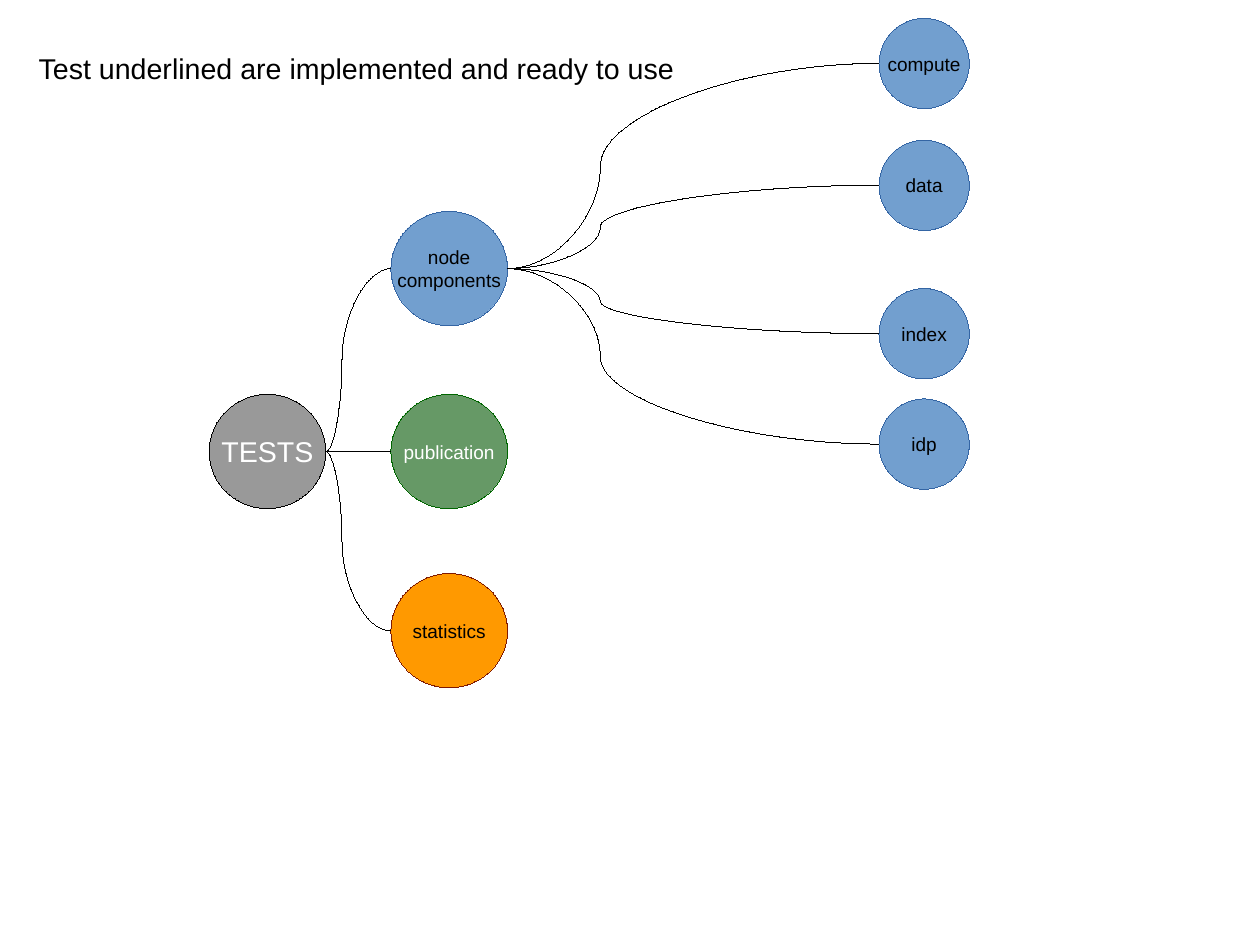
from pptx import Presentation
from pptx.dml.color import RGBColor
from pptx.enum.shapes import MSO_CONNECTOR, MSO_SHAPE
from pptx.enum.text import MSO_ANCHOR, MSO_AUTO_SIZE, PP_ALIGN
from pptx.oxml.ns import qn
from pptx.util import Cm, Inches, Pt
from lxml import etree

ELLIPSE = MSO_SHAPE.OVAL
CURVE, STRAIGHT = MSO_CONNECTOR.CURVE, MSO_CONNECTOR.STRAIGHT
MIDDLE, CENTER = MSO_ANCHOR.MIDDLE, PP_ALIGN.CENTER
FIT_SHAPE = MSO_AUTO_SIZE.SHAPE_TO_FIT_TEXT

SLIDE_WIDTH, SLIDE_HEIGHT = Cm(28), Cm(21)
FONT = "Arial"
BLACK, WHITE = "000000", "FFFFFF"
BLUE, DARK_BLUE = "729FCF", "3465A4"
BEND = 25000  # the curve turns a quarter of the way along

# Column boxes in inches: left, top, width, height
TITLE_BOX = (0.24, 0.4, 5.76, 0.38)
ROOT_BOX = (1.83, 3.45, 1.02, 1)
AREA_COLUMN = (3.42, 1.85, 1.02, 4.2)
COMPONENT_COLUMN = (7.69, 0.16, 0.79, 4.12)

# Label, share of the way down the column, fill, outline, text colour
AREAS = [
    ("node\ncomponents", 0, BLUE, DARK_BLUE, BLACK),
    ("publication", 0.5, "669966", "006600", WHITE),
    ("statistics", 0.99, "FF9900", "801900", BLACK),
]
COMPONENTS = [
    (label, share, BLUE, DARK_BLUE, BLACK)
    for label, share in [("compute", 0), ("data", 0.32), ("index", 0.71), ("idp", 1)]
]


def color(value):
    return RGBColor.from_string(value)


def set_hairline(shape, line_color):
    shape.line.color.rgb = color(line_color)
    # A zero width must be written out, or the theme's width applies
    shape.element.spPr.find(qn("a:ln")).set("w", "0")


def write(shape, text, size, text_color, alignment=None):
    frame = shape.text_frame
    frame.word_wrap = False
    frame.text = text
    for paragraph in frame.paragraphs:
        paragraph.alignment = alignment
        font = paragraph.runs[0].font
        font.name, font.size = FONT, Pt(size)
        font.color.rgb = color(text_color)


def add_node(slide, box, label, fill, outline, text_color, size=12):
    node = slide.shapes.add_shape(ELLIPSE, *map(Inches, box))
    node.shadow.inherit = False
    node.fill.solid()
    node.fill.fore_color.rgb = color(fill)
    set_hairline(node, outline)
    node.text_frame.vertical_anchor = MIDDLE
    write(node, label, size, text_color, CENTER)
    return node


def add_link(slide, parent, child):
    start_y = parent.top + parent.height // 2
    end_y = child.top + child.height // 2
    level = abs(end_y - start_y) < Inches(0.01)
    link = slide.shapes.add_connector(
        STRAIGHT if level else CURVE,
        parent.left + parent.width, start_y, child.left, end_y)
    set_hairline(link, BLACK)
    properties = link.element.spPr
    etree.SubElement(properties, qn("a:effectLst"))
    if not level:
        guides = properties.find(qn("a:prstGeom")).find(qn("a:avLst"))
        etree.SubElement(guides, qn("a:gd"), name="adj1", fmla=f"val {BEND}")


def add_branch(slide, box, parent, children, node_height):
    """Place the children down the box and link each to the parent."""
    left, top, width, height = box
    nodes = []
    for label, share, fill, outline, text_color in children:
        node_top = top + share * (height - node_height)
        node = add_node(slide, (left, node_top, width, node_height),
                        label, fill, outline, text_color)
        add_link(slide, parent, node)
        nodes.append(node)
    return nodes


def add_title(slide, box):
    title = slide.shapes.add_textbox(*map(Inches, box))
    write(title, "Test underlined are implemented and ready to use", 18, BLACK)
    title.text_frame.auto_size = FIT_SHAPE


def main():
    presentation = Presentation()
    presentation.slide_width = SLIDE_WIDTH
    presentation.slide_height = SLIDE_HEIGHT
    slide = presentation.slides.add_slide(presentation.slide_layouts[6])

    # Tree, from the root to the node components
    root = add_node(slide, ROOT_BOX, "TESTS", "999999", BLACK, WHITE, 18)
    areas = add_branch(slide, AREA_COLUMN, root, AREAS, 1)
    add_branch(slide, COMPONENT_COLUMN, areas[0], COMPONENTS, 0.79)

    # Heading
    add_title(slide, TITLE_BOX)
    presentation.save("out.pptx")


if __name__ == "__main__":
    main()
